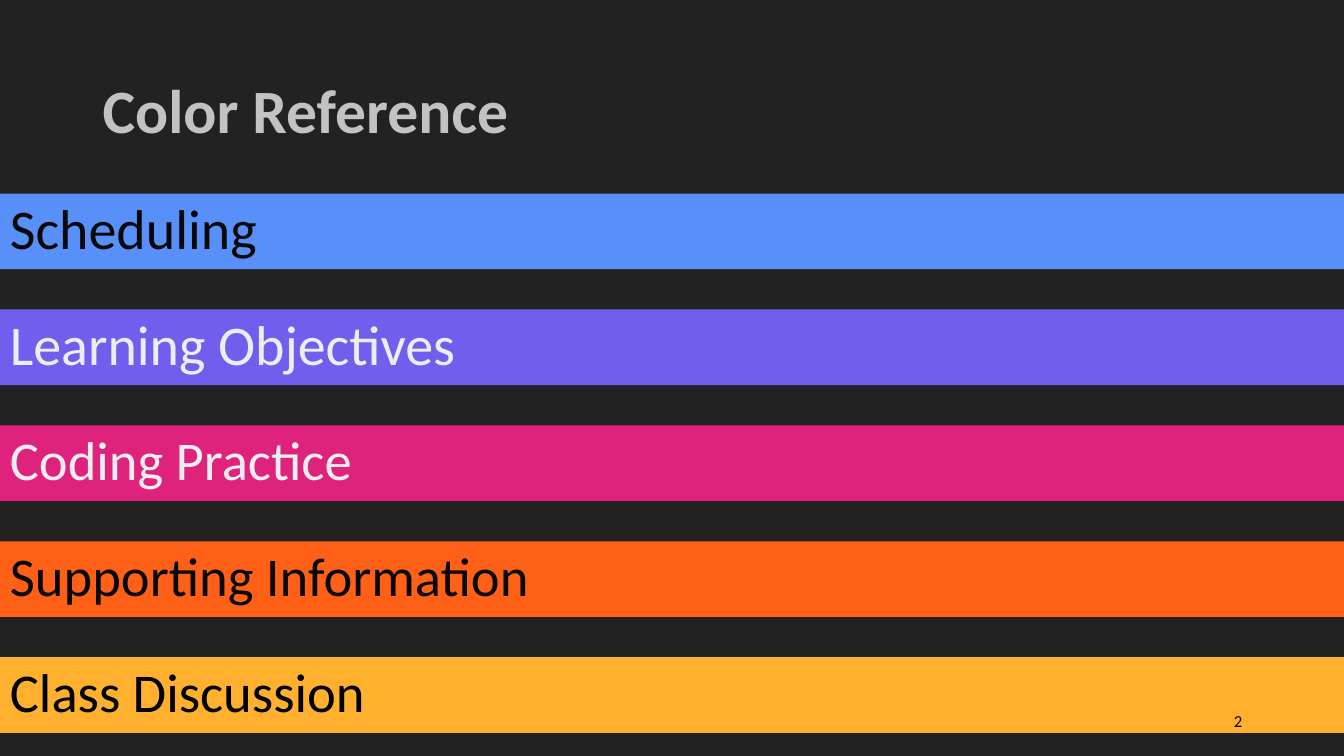
from dataclasses import dataclass

from pptx import Presentation
from pptx.dml.color import RGBColor
from pptx.enum.shapes import MSO_SHAPE as SHAPE
from pptx.enum.text import MSO_ANCHOR as ANCHOR, PP_ALIGN as ALIGN
from pptx.shapes.autoshape import Shape
from pptx.slide import Slide
from pptx.util import Inches, Pt

# Colours
BACKGROUND = RGBColor(0x22, 0x22, 0x22)
SILVER = RGBColor(0xC2, 0xC2, 0xC2)
LIGHT = RGBColor(0xEB, 0xEE, 0xEE)
DARK = RGBColor(0x09, 0x09, 0x09)
BLACK = RGBColor(0x00, 0x00, 0x00)
BLUE = RGBColor(0x58, 0x8F, 0xF9)
PURPLE = RGBColor(0x72, 0x5E, 0xEC)
PINK = RGBColor(0xDF, 0x22, 0x7C)
ORANGE = RGBColor(0xFF, 0x60, 0x18)
YELLOW = RGBColor(0xFF, 0xB0, 0x2F)

# Layout, in inches
SLIDE_W, SLIDE_H = 13.33, 7.5
BAND_TOP, BAND_H, BAND_STEP = 1.92, 0.75, 1.15


@dataclass
class Band:
    label: str
    fill: RGBColor
    color: RGBColor
    size: int


BANDS = [
    Band("Scheduling", BLUE, DARK, 40),
    Band("Learning Objectives", PURPLE, LIGHT, 40),
    Band("Coding Practice", PINK, LIGHT, 39),
    Band("Supporting Information", ORANGE, DARK, 39),
    Band("Class Discussion", YELLOW, BLACK, 39),
]


def write(sp: Shape, text: str, size: int, color: RGBColor, bold: bool = False,
          align: ALIGN = ALIGN.LEFT, spacing: float = 0.9) -> None:
    tf = sp.text_frame
    tf.word_wrap = True
    tf.vertical_anchor = ANCHOR.MIDDLE
    p = tf.paragraphs[0]
    p.alignment, p.line_spacing = align, spacing
    r = p.add_run()
    r.text = text
    for name, value in {"name": "Calibri", "size": Pt(size), "bold": bold}.items():
        setattr(r.font, name, value)
    r.font.color.rgb = color


def add_text(s: Slide, left: float, top: float, width: float, height: float) -> Shape:
    return s.shapes.add_textbox(Inches(left), Inches(top), Inches(width), Inches(height))


def add_band(s: Slide, band: Band, top: float) -> None:
    sp = s.shapes.add_shape(SHAPE.RECTANGLE, 0, Inches(top),
                            Inches(SLIDE_W), Inches(BAND_H))
    sp.shadow.inherit = False
    sp.fill.solid()
    sp.fill.fore_color.rgb = band.fill
    sp.line.fill.background()
    write(sp, band.label, band.size, band.color)


def main() -> None:
    prs = Presentation()
    prs.slide_width, prs.slide_height = Inches(SLIDE_W), Inches(SLIDE_H)
    s = prs.slides.add_slide(prs.slide_layouts[6])
    s.background.fill.solid()
    s.background.fill.fore_color.rgb = BACKGROUND

    # Title
    write(add_text(s, 0.92, 0.4, 11.5, 1.45), "Color Reference", 44, SILVER, bold=True)

    # Colour bands
    for i, band in enumerate(BANDS):
        add_band(s, band, BAND_TOP + i * BAND_STEP)

    # Slide number
    write(add_text(s, 9.42, 6.95, 3, 0.4), "2", 12, DARK, align=ALIGN.RIGHT, spacing=1.0)

    prs.save("out.pptx")


if __name__ == "__main__":
    main()
